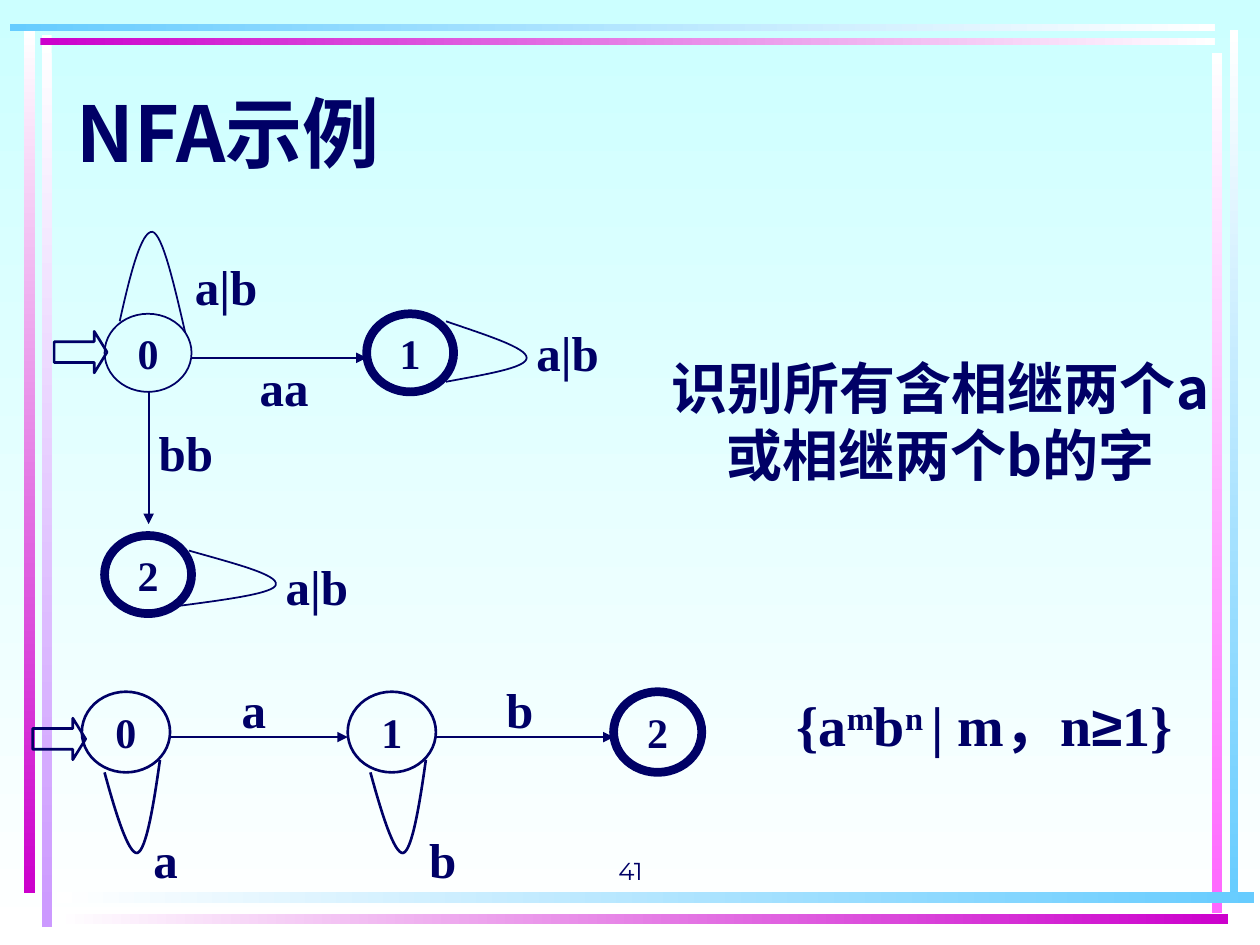
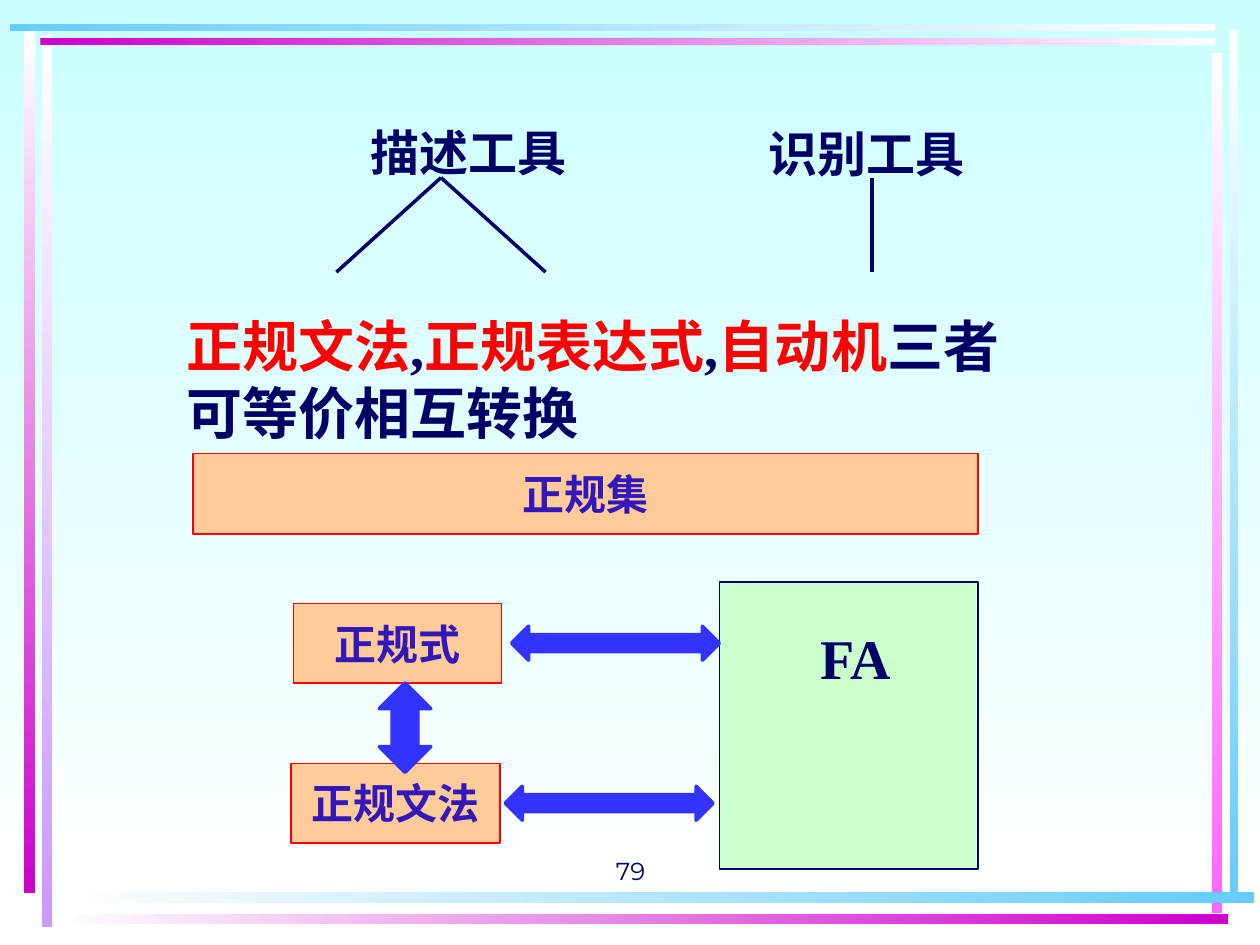
from lxml import etree
from pptx import Presentation
from pptx.dml.color import RGBColor
from pptx.enum.shapes import MSO_CONNECTOR, MSO_SHAPE
from pptx.enum.text import MSO_ANCHOR, MSO_AUTO_SIZE, PP_ALIGN
from pptx.oxml.ns import qn
from pptx.util import Inches, Pt

RECT, OVAL = MSO_SHAPE.RECTANGLE, MSO_SHAPE.OVAL
ENTRY = MSO_SHAPE.RIGHT_ARROW
UP_DOWN, LEFT_RIGHT = MSO_SHAPE.UP_DOWN_ARROW, MSO_SHAPE.LEFT_RIGHT_ARROW
LEFT, CENTER = PP_ALIGN.LEFT, PP_ALIGN.CENTER
TOP, MIDDLE, BOTTOM = MSO_ANCHOR.TOP, MSO_ANCHOR.MIDDLE, MSO_ANCHOR.BOTTOM

NAVY = RGBColor(0x00, 0x00, 0x66)
WHITE = RGBColor(0xFF, 0xFF, 0xFF)
AQUA = RGBColor(0xCC, 0xFF, 0xFF)
SKY = RGBColor(0x66, 0xCC, 0xFF)
PURPLE = RGBColor(0xCC, 0x00, 0xCC)
LILAC = RGBColor(0xCC, 0x99, 0xFF)
PINK = RGBColor(0xFF, 0x66, 0xFF)
RED = RGBColor(0xFF, 0x00, 0x00)
PEACH = RGBColor(0xFF, 0xCC, 0x99)
MINT = RGBColor(0xCC, 0xFF, 0xCC)
INDIGO = RGBColor(0x32, 0x17, 0xBB)
BLUE = RGBColor(0x33, 0x33, 0xFF)

SERIF, SANS, CJK, NUMBER = "Times New Roman", "Arial", "Noto Sans CJK SC", "Montserrat"
DOWNWARD, RIGHTWARD = 270, 0
THIN, MEDIUM, FINAL = 1, 1.5, 5

BANDS = [
    ((0.33, 0.28, 0.08, 7.08), WHITE, LILAC),
    ((0.19, 0.25, 0.09, 6.84), WHITE, PURPLE),
    ((9.76, 0.24, 0.07, 6.92), WHITE, SKY),
    ((9.62, 0.42, 0.08, 6.83), WHITE, PINK),
    ((0.45, 7.08, 9.5, 0.09), WHITE, SKY),
    ((0.45, 7.25, 9.3, 0.08), WHITE, PURPLE),
    ((0.32, 0.3, 9.32, 0.06), PURPLE, WHITE),
    ((0.08, 0.19, 9.56, 0.06), SKY, WHITE),
]

TITLE = "NFA示例"
MEANING = [[("识别所有含相继两个a", {})], [("或相继两个b的字", {})]]
LANGUAGE = [[("{a", {}), ("m", {"raised": True}), ("b", {}), ("n ", {"raised": True}),
             ("| m，n", {}), ("≥", {"font": SANS}), ("1}", {})]]

PAIR_STATES = [("0", 0.83, 2.49, THIN), ("2", 0.83, 4.25, FINAL), ("1", 2.91, 2.49, FINAL)]
PAIR_LABELS = [("a|b", 1.32, 1.96), ("aa", 1.78, 2.76), ("a|b", 4.03, 2.48),
               ("bb", 1.0, 3.28), ("a|b", 2.04, 4.34)]
PAIR_MOVES = [((1.52, 2.84), (2.91, 2.84)), ((1.18, 3.11), (1.18, 4.16))]
PAIR_LOOPS = [
    [(1.47, 2.64), (1.38, 2.25), (1.29, 1.86), (1.21, 1.84), (1.12, 1.83), (1.03, 2.19), (0.95, 2.55)],
    [(1.41, 4.81), (1.79, 4.76), (2.18, 4.71), (2.19, 4.64), (2.21, 4.56), (1.85, 4.47), (1.5, 4.37)],
    [(3.54, 3.03), (3.86, 2.97), (4.18, 2.92), (4.18, 2.84), (4.18, 2.76), (3.86, 2.66), (3.54, 2.55)],
]

CHAIN_STATES = [("0", MEDIUM), ("1", MEDIUM), ("2", FINAL)]
CHAIN_STEP = 2.11
CHAIN_INPUTS = [("a", 0.83), ("b", 3.03)]
CHAIN_LOOP = [(1.27, 6.03), (1.22, 6.39), (1.16, 6.75), (1.09, 6.77), (1.02, 6.78), (0.92, 6.46), (0.83, 6.13)]
ENTRIES = [(0.43, 2.63), (0.26, 5.7)]

EQUIVALENCE = [[("正规文法", {"color": RED}), (",", {}), ("正规表达式", {"color": RED}), (",", {}),
                ("自动机", {"color": RED}), ("三者可等价相互转换", {})]]
TOOLS = [("描述工具", 2.84, 0.92, 3.5, (2.67, 4.33)), ("识别工具", 6.0, 0.93, 6.92, (6.92,))]
NOTIONS = [("正规集", (1.53, 3.6, 6.23, 0.64)), ("正规式", (2.33, 4.79, 1.65, 0.63)),
           ("正规文法", (2.31, 6.06, 1.66, 0.63))]
CONVERSIONS = [(UP_DOWN, (3.01, 5.42, 0.41, 0.71)), (LEFT_RIGHT, (4.06, 4.97, 1.65, 0.27)),
               (LEFT_RIGHT, (4.01, 6.24, 1.65, 0.27))]


def blend(fill, start, end, angle):
    fill.gradient()
    fill.gradient_angle = angle
    for stop, color in zip(fill.gradient_stops, (start, end)):
        stop.color.rgb = color


def write(frame, paragraphs, size, font=SERIF, color=NAVY, bold=True,
          align=CENTER, anchor=MIDDLE, wrap=False, inset=(0, 0)):
    frame.auto_size = MSO_AUTO_SIZE.NONE
    frame.word_wrap = wrap
    frame.vertical_anchor = anchor
    frame.margin_left = frame.margin_right = Inches(inset[0])
    frame.margin_top = frame.margin_bottom = Inches(inset[1])
    for index, pieces in enumerate(paragraphs):
        paragraph = frame.add_paragraph() if index else frame.paragraphs[0]
        paragraph.alignment = align
        for text, look in pieces:
            run = paragraph.add_run()
            run.text = text
            run.font.size = Pt(size)
            run.font.bold = bold
            run.font.name = look.get("font", font)
            run.font.color.rgb = look.get("color", color)
            properties = run._r.get_or_add_rPr()
            etree.SubElement(properties, qn("a:ea")).set("typeface", CJK)
            if look.get("raised"):
                properties.set("baseline", "30000")


def plain(text):
    return [[(text, {})]]


def add_text(slide, place, paragraphs, size, **style):
    box = slide.shapes.add_textbox(*map(Inches, place))
    write(box.text_frame, paragraphs, size, **style)


def outline(shape, fill, line, width):
    shape.shadow.inherit = False
    if fill is None:
        shape.fill.background()
    else:
        shape.fill.solid()
        shape.fill.fore_color.rgb = fill
    shape.line.color.rgb = line
    shape.line.width = Pt(width)


def add_figure(slide, kind, place, fill=None, line=NAVY, width=THIN):
    shape = slide.shapes.add_shape(kind, *map(Inches, place))
    outline(shape, fill, line, width)
    return shape


def add_line(slide, start, end, width, arrow=False):
    line = slide.shapes.add_connector(MSO_CONNECTOR.STRAIGHT, *map(Inches, start + end))
    line.line.color.rgb = NAVY
    line.line.width = Pt(width)
    if arrow:
        etree.SubElement(line.line._get_or_add_ln(), qn("a:tailEnd")).set("type", "triangle")
    etree.SubElement(line._element.spPr, qn("a:effectLst"))


def add_loop(slide, points, width):
    start, *rest = [tuple(map(Inches, point)) for point in points]
    builder = slide.shapes.build_freeform(*start)
    builder.add_line_segments(rest, close=False)
    loop = builder.convert_to_shape()
    outline(loop, None, NAVY, width)
    segments = list(loop._element.iter(qn("a:lnTo")))
    outline_path = segments[0].getparent()
    for first in range(0, len(segments), 3):
        bezier = etree.SubElement(outline_path, qn("a:cubicBezTo"))
        for segment in segments[first:first + 3]:
            bezier.append(segment[0])
            outline_path.remove(segment)


def add_state(slide, name, place, width):
    write(add_figure(slide, OVAL, place, width=width).text_frame, plain(name), 24)


def add_number(slide, number):
    add_text(slide, (3.42, 6.58, 3.17, 0.5), plain(number), 14, font=NUMBER, bold=False,
             anchor=BOTTOM, wrap=True, inset=(0.1, 0.05))


def dress_master(deck, slide):
    blend(deck.slide_master.background.fill, AQUA, WHITE, DOWNWARD)
    for place, start, end in BANDS:
        band = slide.shapes.add_shape(RECT, *map(Inches, place))
        band.shadow.inherit = False
        band.line.fill.background()
        blend(band.fill, start, end, DOWNWARD if place[3] > place[2] else RIGHTWARD)
        deck.slide_master.shapes._spTree.append(band._element)


def draw_pair_automaton(slide):
    for name, x, y, width in PAIR_STATES:
        add_state(slide, name, (x, y, 0.69, 0.62), width)
    for label, x, y in PAIR_LABELS:
        add_text(slide, (x, y, 0.95, 0.62), plain(label), 28)
    for start, end in PAIR_MOVES:
        add_line(slide, start, end, THIN, arrow=True)
    for loop in PAIR_LOOPS:
        add_loop(slide, loop, THIN)


def draw_chain_automaton(slide):
    for index, (name, width) in enumerate(CHAIN_STATES):
        add_state(slide, name, (0.65 + index * CHAIN_STEP, 5.49, 0.7, 0.64), width)
    for index, (label, loop_label_x) in enumerate(CHAIN_INPUTS):
        shift = index * CHAIN_STEP
        add_line(slide, (1.35 + shift, 5.85), (2.76 + shift, 5.85), MEDIUM, arrow=True)
        add_loop(slide, [(x + shift, y) for x, y in CHAIN_LOOP], MEDIUM)
        for x, y in ((1.53 + shift, 5.31), (loop_label_x, 6.5)):
            add_text(slide, (x, y, 0.97, 0.64), plain(label), 28)


def build_nfa(slide):
    title = slide.shapes.title
    title.left, title.top, title.width, title.height = map(Inches, (0.51, 0.44, 8.75, 1.21))
    write(title.text_frame, plain(TITLE), 44, font=CJK, align=LEFT, wrap=True, inset=(0.1, 0.05))
    add_text(slide, (5.63, 2.8, 3.67, 1.08), MEANING, 32, font=CJK, inset=(0.1, 0.05))
    add_text(slide, (5.98, 5.21, 3.67, 1.08), LANGUAGE, 32, inset=(0.1, 0.05))
    draw_pair_automaton(slide)
    draw_chain_automaton(slide)
    for x, y in ENTRIES:
        arrow = add_figure(slide, ENTRY, (x, y, 0.42, 0.33), width=MEDIUM)
        arrow.adjustments[1] = 0.31
    add_number(slide, "41")


def build_equivalence(slide):
    flowing = {"align": LEFT, "anchor": TOP, "wrap": True, "inset": (0.1, 0.05)}
    add_number(slide, "79")
    add_figure(slide, RECT, (5.71, 4.62, 2.05, 2.28), fill=MINT)
    add_text(slide, (6.41, 4.9, 0.79, 1.17), plain("FA"), 32, **flowing)
    add_text(slide, (1.38, 2.42, 6.92, 1.17), EQUIVALENCE, 32, **flowing)
    for tool, x, y, apex, feet in TOOLS:
        add_text(slide, (x, y, 1.92, 0.57), plain(tool), 28, **flowing)
        for foot in feet:
            add_line(slide, (apex, 1.41), (foot, 2.16), 2)
    for notion, place in NOTIONS:
        box = add_figure(slide, RECT, place, fill=PEACH, line=RED)
        write(box.text_frame, plain(notion), 24, font=CJK, color=INDIGO)
    for kind, place in CONVERSIONS:
        arrow = add_figure(slide, kind, place, fill=BLUE, line=BLUE, width=2)
        arrow.adjustments[0] = arrow.adjustments[1] = 0.5


def main():
    deck = Presentation()
    deck.slide_width, deck.slide_height = Inches(10), Inches(7.5)
    nfa = deck.slides.add_slide(deck.slide_layouts[5])
    equivalence = deck.slides.add_slide(deck.slide_layouts[6])
    dress_master(deck, nfa)
    build_nfa(nfa)
    build_equivalence(equivalence)
    deck.save("out.pptx")


if __name__ == "__main__":
    main()
